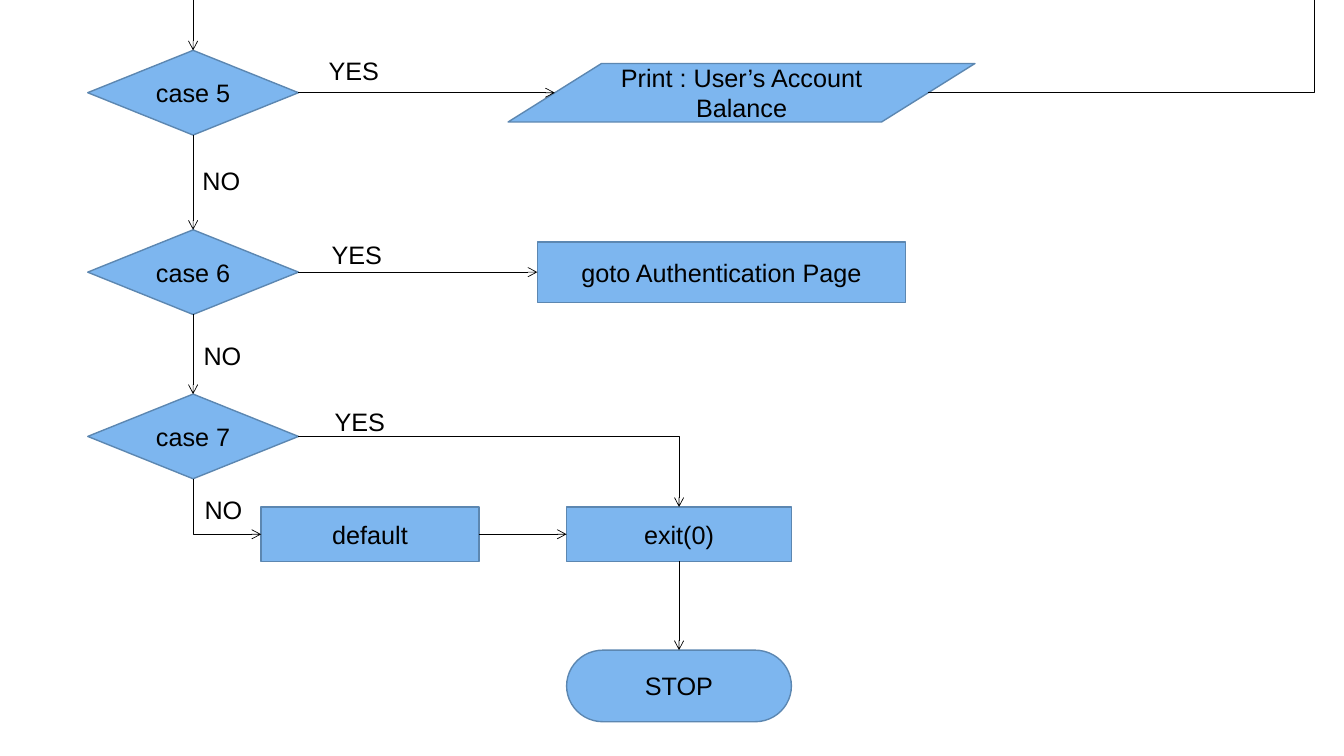
"""Build the closing part of a menu flowchart: cases 5 to 7, exit and stop."""
from dataclasses import dataclass

from lxml import etree
from pptx import Presentation
from pptx.dml.color import RGBColor
from pptx.enum import shapes, text
from pptx.oxml import ns
from pptx.util import Inches, Pt

Point = tuple[float, float]
Kind = shapes.MSO_SHAPE


@dataclass(frozen=True)
class Theme:
    """Colours, font and sizes of the flowchart."""
    fill: RGBColor = RGBColor(0x7D, 0xB6, 0xEF)
    outline: RGBColor = RGBColor(0x5C, 0x87, 0xB1)
    ink: RGBColor = RGBColor(0, 0, 0)
    font: str = "Arial"
    size: Pt = Pt(18)
    outline_width: Pt = Pt(1)
    arrow_width: Pt = Pt(0.5)


@dataclass(frozen=True)
class Block:
    """A flowchart step with the points where arrows meet it."""
    words: str
    kind: Kind
    x: float
    y: float
    width: float
    height: float
    slant: float = 0

    @property
    def top(self) -> Point:
        """Return the middle of the top edge."""
        return self.x + self.width / 2, self.y

    @property
    def bottom(self) -> Point:
        """Return the middle of the bottom edge."""
        return self.x + self.width / 2, self.y + self.height

    @property
    def left(self) -> Point:
        """Return the middle of the left edge."""
        return self.x + self.width * self.slant, self.y + self.height / 2

    @property
    def right(self) -> Point:
        """Return the middle of the right edge."""
        return self.x + self.width * (1 - self.slant), self.y + self.height / 2


@dataclass(frozen=True)
class Arrow:
    """A link that is straight, or bends after going across or down."""
    start: Point
    end: Point
    bend: str = ""
    head: bool = True


@dataclass(frozen=True)
class Label:
    """An answer written beside an arrow."""
    words: str
    x: float
    y: float
    width: float


THEME = Theme()
CASES = [Block(f"case {number}", Kind.FLOWCHART_DECISION, 0.87, y, 2.09, 0.84)
         for number, y in ((5, 0.5), (6, 2.28), (7, 3.91))]
CASE_5, CASE_6, CASE_7 = CASES
BALANCE = Block("Print : User’s Account Balance", Kind.FLOWCHART_DATA,
                5.04, 0.63, 4.63, 0.58, slant=0.1)
LOGIN = Block("goto Authentication Page", Kind.RECTANGLE, 5.33, 2.4, 3.65, 0.6)
DEFAULT = Block("default", Kind.RECTANGLE, 2.59, 5.03, 2.16, 0.54)
EXIT = Block("exit(0)", Kind.RECTANGLE, 5.62, 5.03, 2.23, 0.54)
STOP = Block("STOP", Kind.FLOWCHART_TERMINATOR, 5.62, 6.45, 2.23, 0.71)
BLOCKS = [*CASES, BALANCE, LOGIN, DEFAULT, EXIT, STOP]

ARROWS = [
    Arrow((CASE_5.top[0], 0), CASE_5.top),
    Arrow(CASE_5.bottom, CASE_6.top),
    Arrow(CASE_6.bottom, CASE_7.top),
    Arrow(CASE_7.bottom, DEFAULT.left, bend="down"),
    Arrow(CASE_5.right, BALANCE.left),
    Arrow(CASE_6.right, LOGIN.left),
    Arrow(CASE_7.right, EXIT.top, bend="across"),
    Arrow(DEFAULT.right, EXIT.left),
    Arrow(EXIT.bottom, STOP.top),
    Arrow(BALANCE.right, (13.04, 0), bend="across", head=False),
]

LABELS = [
    Label("YES", 3.16, 0.5, 0.85),
    Label("NO", 1.91, 1.59, 0.61),
    Label("YES", 3.19, 2.33, 0.74),
    Label("NO", 1.92, 3.33, 0.71),
    Label("YES", 3.22, 3.98, 0.77),
    Label("NO", 1.93, 4.85, 0.85),
]


def write(frame, words: str, align: text.PP_ALIGN) -> None:
    """Put one styled paragraph into a text frame."""
    frame.word_wrap = True
    para = frame.paragraphs[0]
    para.text = words
    para.alignment = align
    para.font.name = THEME.font
    para.font.size = THEME.size
    para.font.color.rgb = THEME.ink


def draw_block(page, block: Block) -> None:
    """Draw a flowchart step."""
    shape = page.shapes.add_shape(block.kind, Inches(block.x), Inches(block.y),
                                  Inches(block.width), Inches(block.height))
    shape.shadow.inherit = False
    shape.fill.solid()
    shape.fill.fore_color.rgb = THEME.fill
    shape.line.color.rgb = THEME.outline
    shape.line.width = THEME.outline_width
    shape.text_frame.vertical_anchor = text.MSO_ANCHOR.MIDDLE
    write(shape.text_frame, block.words, text.PP_ALIGN.CENTER)


def draw_arrow(page, arrow: Arrow) -> None:
    """Draw a straight or single-bend connector."""
    (x1, y1), (x2, y2) = arrow.start, arrow.end
    if arrow.bend == "down":
        middle_x, middle_y = (x1 + x2) / 2, (y1 + y2) / 2
        half_width, half_height = (y2 - y1) / 2, (x2 - x1) / 2
        x1, x2 = middle_x - half_width, middle_x + half_width
        y1, y2 = middle_y + half_height, middle_y - half_height
    kind = shapes.MSO_CONNECTOR.ELBOW if arrow.bend else shapes.MSO_CONNECTOR.STRAIGHT
    link = page.shapes.add_connector(kind, Inches(x1), Inches(y1), Inches(x2), Inches(y2))
    link.line.color.rgb = THEME.ink
    link.line.width = THEME.arrow_width
    properties = link._element.spPr
    if arrow.bend:
        properties.find(ns.qn("a:prstGeom")).set("prst", "bentConnector2")
    if arrow.bend == "down":
        properties.find(ns.qn("a:xfrm")).set("rot", str(90 * 60000))
    if arrow.head:
        etree.SubElement(properties.find(ns.qn("a:ln")), ns.qn("a:tailEnd"), type="arrow")
    etree.SubElement(properties, ns.qn("a:effectLst"))


def draw_label(page, label: Label) -> None:
    """Draw an answer beside its arrow."""
    box = page.shapes.add_textbox(Inches(label.x), Inches(label.y),
                                  Inches(label.width), Inches(0.4))
    box.text_frame.auto_size = text.MSO_AUTO_SIZE.SHAPE_TO_FIT_TEXT
    write(box.text_frame, label.words, text.PP_ALIGN.LEFT)


def main() -> None:
    """Build and save the deck."""
    deck = Presentation()
    deck.slide_width, deck.slide_height = Inches(13.33), Inches(7.5)
    page = deck.slides.add_slide(deck.slide_layouts[6])
    for block in BLOCKS:
        draw_block(page, block)
    for arrow in ARROWS:
        draw_arrow(page, arrow)
    for label in LABELS:
        draw_label(page, label)
    deck.save("out.pptx")


if __name__ == "__main__":
    main()
